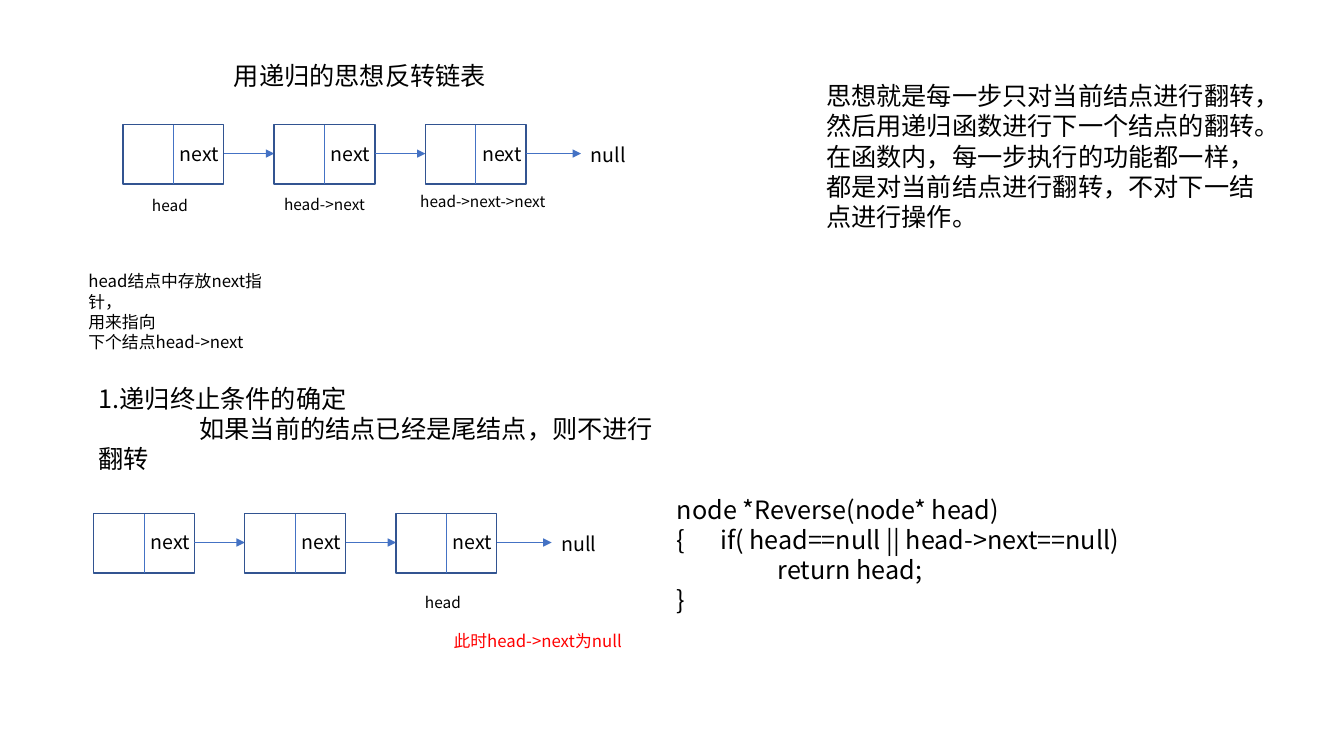
from dataclasses import dataclass

from lxml.etree import SubElement
from pptx import Presentation
from pptx.dml.color import RGBColor
from pptx.enum.shapes import MSO_CONNECTOR, MSO_SHAPE
from pptx.enum.text import MSO_ANCHOR, MSO_AUTO_SIZE, PP_ALIGN
from pptx.oxml.ns import qn
from pptx.util import Cm, Pt

COLORS = {"ink": "000000", "alert": "FF0000", "paper": "FFFFFF",
          "border": "325491", "link": "4472C4"}
FONT = "Noto Sans CJK SC"
NODE_WIDTH, NODE_HEIGHT, NODE_PITCH = 2.54, 1.5, 3.81
NODE_COUNT = 3


@dataclass(frozen=True)
class Line:
    text: str
    indent: float = 0
    tab: float = 0


@dataclass(frozen=True)
class Note:
    left: float
    top: float
    width: float
    height: float
    lines: tuple[Line, ...]
    size: float = 18
    color: str = "ink"


@dataclass(frozen=True)
class Chain:
    left: float
    top: float


TITLE = Note(5.64, 1.4, 8.43, 1.02, (Line("用递归的思想反转链表"),))

CHAINS = (Chain(3.1, 3.14), Chain(2.36, 12.94))

NOTES = (
    Note(3.58, 4.83, 2.2, 0.74, (Line("head"),), size=11),
    Note(6.91, 4.8, 2.84, 0.74, (Line("head->next"),), size=11),
    Note(10.34, 4.72, 3.73, 0.74, (Line("head->next->next"),), size=11),
    Note(20.57, 1.9, 11.48, 4.11, (
        Line("思想就是每一步只对当前结点进行翻转，然后用递归函数进行下一个结点的翻转。"),
        Line("在函数内，每一步执行的功能都一样，都是对当前结点进行翻转，不对下一结点进行操作。"),
    )),
    Note(1.98, 6.71, 5.26, 1.8, (
        Line("head结点中存放next指针，"),
        Line("用来指向"),
        Line("下个结点head->next"),
    ), size=12),
    Note(2.24, 9.53, 14.71, 2.57, (
        Line("1.递归终止条件的确定"),
        Line("如果当前的结点已经是尾结点，则不进行翻转", indent=2.54),
    )),
    Note(10.46, 14.83, 2.2, 0.74, (Line("head"),), size=11),
    Note(16.81, 12.32, 12.78, 3.33, (
        Line("node *Reverse(node* head)"),
        Line("{\tif( head==null || head->next==null)", tab=1.09),
        Line("return head;", indent=2.54),
        Line("}"),
    )),
    Note(11.18, 15.77, 4.83, 0.76, (Line("此时head->next为null"),),
         size=12, color="alert"),
)


def rgb(name: str) -> RGBColor:
    """Look up a named colour."""
    return RGBColor.from_string(COLORS[name])


def write_text(frame, lines: tuple[Line, ...], *, size: float = 18,
               color: str = "ink") -> None:
    """Fill a text frame with left-aligned lines in one format."""
    frame.word_wrap = True
    frame.auto_size = MSO_AUTO_SIZE.SHAPE_TO_FIT_TEXT
    frame.vertical_anchor = MSO_ANCHOR.TOP
    for index, line in enumerate(lines):
        paragraph = frame.add_paragraph() if index else frame.paragraphs[0]
        paragraph.alignment = PP_ALIGN.LEFT
        paragraph.line_spacing = 1.0
        paragraph.space_before = Pt(0)
        properties = paragraph._p.get_or_add_pPr()
        if line.indent:
            properties.set("marL", "0")
            properties.set("indent", str(Cm(line.indent)))
        if line.tab:
            stops = SubElement(properties, qn("a:tabLst"))
            SubElement(stops, qn("a:tab"), pos=str(Cm(line.tab)), algn="l")
        run = paragraph.add_run()
        run.text = line.text
        run.font.size = Pt(size)
        run.font.color.rgb = rgb(color)
        run.font.name = FONT
        SubElement(run._r.get_or_add_rPr(), qn("a:ea"), typeface=FONT)


def add_note(slide, note: Note) -> None:
    """Place a text box."""
    box = slide.shapes.add_textbox(Cm(note.left), Cm(note.top),
                                   Cm(note.width), Cm(note.height))
    write_text(box.text_frame, note.lines, size=note.size, color=note.color)


def add_link(slide, start: tuple[float, float], end: tuple[float, float],
             arrow: bool = False) -> None:
    """Draw a thin straight line, with an arrowhead if asked."""
    link = slide.shapes.add_connector(
        MSO_CONNECTOR.STRAIGHT, *(Cm(value) for value in (*start, *end)))
    link.line.color.rgb = rgb("link")
    link.line.width = Pt(0.5)
    if arrow:
        SubElement(link.line._get_or_add_ln(), qn("a:tailEnd"), type="triangle")
    SubElement(link._element.spPr, qn("a:effectLst"))


def add_node(slide, left: float, top: float) -> None:
    """Draw a list node split into a value half and a next half."""
    node = slide.shapes.add_shape(MSO_SHAPE.RECTANGLE, Cm(left), Cm(top),
                                  Cm(NODE_WIDTH), Cm(NODE_HEIGHT))
    node.shadow.inherit = False
    node.fill.solid()
    node.fill.fore_color.rgb = rgb("paper")
    node.line.color.rgb = rgb("border")
    node.line.width = Pt(1)
    middle = left + NODE_WIDTH / 2
    add_link(slide, (middle, top), (middle, top + NODE_HEIGHT))
    add_note(slide, Note(left + 1.18, top + 0.3, 2.16, 0.86,
                         (Line("next"),), size=14))


def add_chain(slide, chain: Chain) -> None:
    """Draw the linked nodes and the closing null."""
    arrow_y = chain.top + 0.73
    null_left = chain.left + 11.54
    lefts = [chain.left + index * NODE_PITCH for index in range(NODE_COUNT)]
    for left, target in zip(lefts, [*lefts[1:], null_left]):
        add_node(slide, left, chain.top)
        add_link(slide, (left + NODE_WIDTH, arrow_y), (target, arrow_y),
                 arrow=True)
    add_note(slide, Note(null_left, chain.top + 0.33, 2.16, 0.86,
                         (Line("null"),), size=14))


def main() -> None:
    """Build the slide on reversing a linked list by recursion."""
    deck = Presentation()
    deck.slide_width, deck.slide_height = Cm(33.87), Cm(19.05)
    slide = deck.slides.add_slide(deck.slide_layouts[5])
    title = slide.shapes.title
    title.left, title.top = Cm(TITLE.left), Cm(TITLE.top)
    title.width, title.height = Cm(TITLE.width), Cm(TITLE.height)
    write_text(title.text_frame, TITLE.lines, size=TITLE.size)
    for chain in CHAINS:
        add_chain(slide, chain)
    for note in NOTES:
        add_note(slide, note)
    deck.save("out.pptx")


if __name__ == "__main__":
    main()
